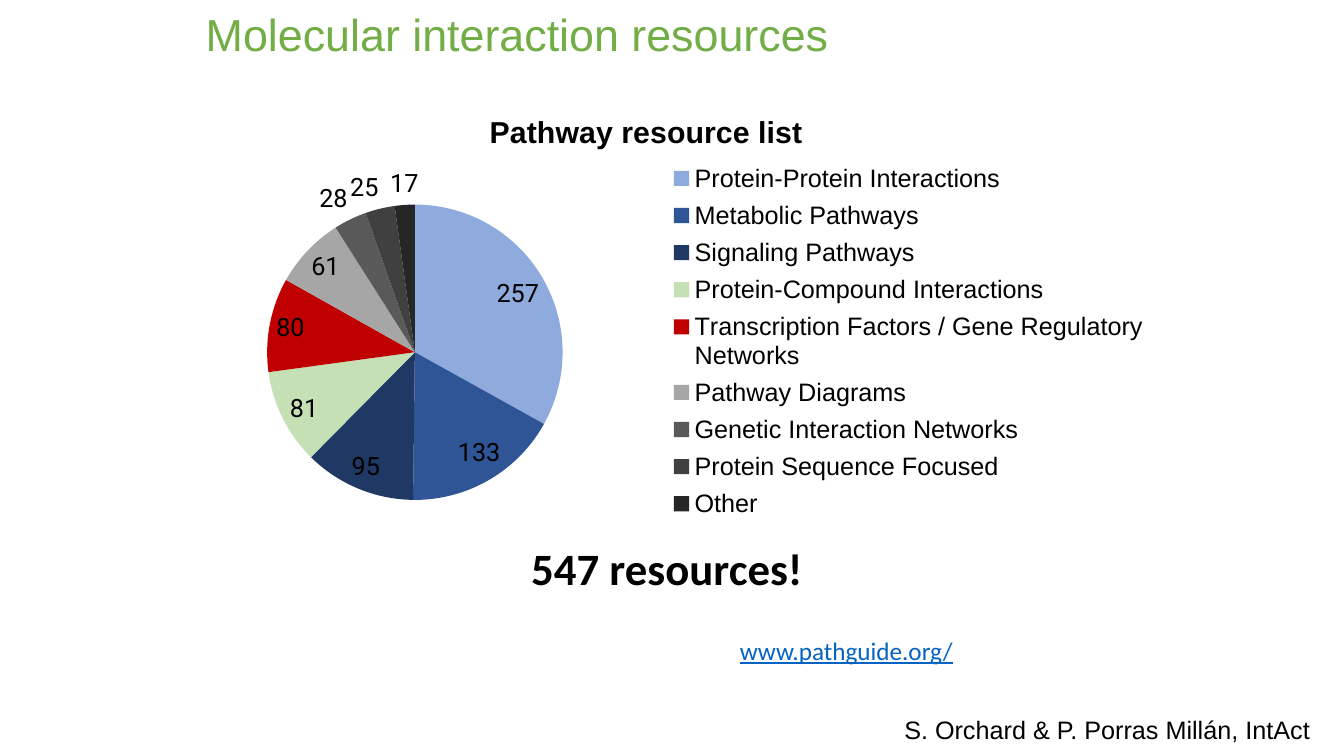
from lxml import etree
from pptx import Presentation
from pptx.chart.data import CategoryChartData
from pptx.dml.color import RGBColor
from pptx.enum.chart import XL_CHART_TYPE, XL_LABEL_POSITION, XL_LEGEND_POSITION
from pptx.enum.text import MSO_ANCHOR, PP_ALIGN
from pptx.oxml.ns import qn
from pptx.util import Pt

PX = 9144
PIE = XL_CHART_TYPE.PIE
BEST_FIT = XL_LABEL_POSITION.BEST_FIT
LEGEND_RIGHT = XL_LEGEND_POSITION.RIGHT
MIDDLE = MSO_ANCHOR.MIDDLE
LEFT = PP_ALIGN.LEFT

RESOURCES = [
    ("Protein-Protein Interactions", 257, "8FAADC"),
    ("Metabolic Pathways", 133, "2F5597"),
    ("Signaling Pathways", 95, "203864"),
    ("Protein-Compound Interactions", 81, "C5E0B4"),
    ("Transcription Factors / Gene Regulatory Networks", 80, "C00000"),
    ("Pathway Diagrams", 61, "A6A6A6"),
    ("Genetic Interaction Networks", 28, "595959"),
    ("Protein Sequence Focused", 25, "404040"),
    ("Other", 17, "262626"),
]


def rgb(value):
    return RGBColor.from_string(value)


def emu(box):
    return [v * PX for v in box]


def style(font, name, size, color="000000", bold=False, underline=False):
    font.name = name
    font.size = Pt(size)
    font.color.rgb = rgb(color)
    font.bold = bold
    font.underline = underline


def write(tf, text, **fmt):
    p = tf.paragraphs[0]
    p.alignment = LEFT
    r = p.add_run()
    r.text = text
    style(r.font, **fmt)
    return p


def add_title(s, box):
    sp = s.shapes.title
    sp.left, sp.top, sp.width, sp.height = emu(box)
    tf = sp.text_frame
    tf.vertical_anchor = MIDDLE
    p = write(tf, "Molecular interaction resources", name="Arial", size=32, color="72AD46")
    p.line_spacing = 0.9


def add_text(s, box, text, wrap=False, **fmt):
    tf = s.shapes.add_textbox(*emu(box)).text_frame
    tf.word_wrap = wrap
    write(tf, text, **fmt)


def set_layout(parent, index, x, y, w, h, inner=False):
    layout = parent.find(qn("c:layout"))
    if layout is None:
        layout = etree.Element(qn("c:layout"))
        parent.insert(index, layout)
    manual = etree.SubElement(layout, qn("c:manualLayout"))
    items = [("layoutTarget", "inner")] if inner else []
    items += [("xMode", "edge"), ("yMode", "edge"), ("x", x), ("y", y), ("w", w), ("h", h)]
    for tag, val in items:
        etree.SubElement(manual, qn("c:" + tag)).set("val", str(val))


def add_pie(s, box):
    title = "Pathway resource list"
    data = CategoryChartData()
    data.categories = [name for name, _, _ in RESOURCES]
    data.add_series(title, [count for _, count, _ in RESOURCES])
    chart = s.shapes.add_chart(PIE, *emu(box), data).chart
    style(chart.font, "Roboto", 18)

    chart.has_title = True
    write(chart.chart_title.text_frame, title, name="Arial", size=21.6, bold=True)
    chart.chart_title.include_in_layout = False

    chart.has_legend = True
    legend = chart.legend
    legend.position = LEGEND_RIGHT
    legend.include_in_layout = False
    style(legend.font, "Arial", 18)

    plot = chart.plots[0]
    plot.vary_by_categories = True
    for i, (_, _, color) in enumerate(RESOURCES):
        fill = plot.series[0].points[i].format.fill
        fill.solid()
        fill.fore_color.rgb = rgb(color)

    plot.has_data_labels = True
    labels = plot.data_labels
    labels.show_value = True
    labels.show_percentage = False
    labels.position = BEST_FIT
    style(labels.font, "Roboto", 18)

    root = chart.element
    set_layout(root.find(".//" + qn("c:plotArea")), 0, 0.13, 0.25, 0.29, 0.66, inner=True)
    set_layout(root.find(".//" + qn("c:legend")), 1, 0.52, 0.14, 0.47, 0.83)


def main():
    prs = Presentation()
    prs.slide_width, prs.slide_height = emu((1333, 750))
    s = prs.slides.add_slide(prs.slide_layouts[5])
    add_title(s, (194, 7, 900, 59))
    add_pie(s, (131, 92, 1020, 444))
    add_text(s, (724, 625, 242, 40), "www.pathguide.org/",
             name="Calibri", size=18, color="0563C1", underline=True)
    add_text(s, (517, 532, 292, 64), "547 resources!", name="Calibri", size=32, bold=True)
    add_text(s, (887, 704, 429, 40), "S. Orchard & P. Porras Millán, IntAct",
             wrap=True, name="Arial", size=18)
    prs.save("out.pptx")


if __name__ == "__main__":
    main()
